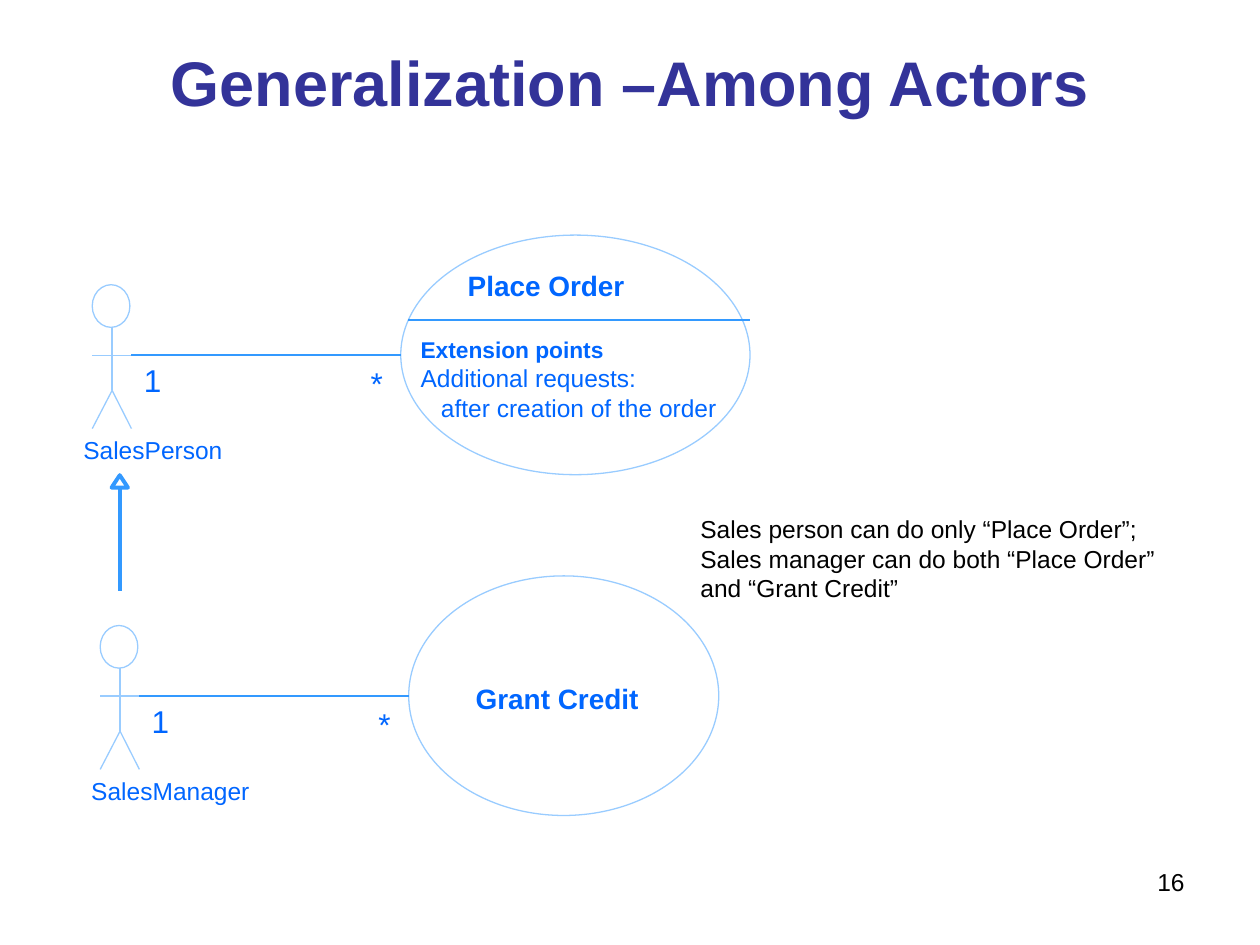
import pptx
import pptx.util
import pptx.dml.color
import pptx.enum.shapes
import pptx.enum.text
import pptx.oxml.ns
import lxml.etree

Cm = pptx.util.Cm
Pt = pptx.util.Pt
RGBColor = pptx.dml.color.RGBColor
Shapes = pptx.enum.shapes.MSO_SHAPE
Align = pptx.enum.text.PP_ALIGN

WHITE = RGBColor(0xFF, 0xFF, 0xFF)
BLACK = RGBColor(0, 0, 0)
NAVY = RGBColor(0x33, 0x33, 0x99)
BLUE = RGBColor(0x00, 0x66, 0xFF)
LINK_BLUE = RGBColor(0x33, 0x99, 0xFF)
PALE_BLUE = RGBColor(0x99, 0xCC, 0xFF)


def add_text(slide, box, lines, size, color=BLUE, bold=False, align=Align.LEFT, wrap=False):
    shape = slide.shapes.add_textbox(*(Cm(value) for value in box))
    frame = shape.text_frame
    frame.text = "\n".join(lines)
    frame.word_wrap = wrap
    if not wrap:
        frame.auto_size = pptx.enum.text.MSO_AUTO_SIZE.SHAPE_TO_FIT_TEXT
    for paragraph in frame.paragraphs:
        paragraph.alignment = align
        for run in paragraph.runs:
            run.font.name = "Arial"
            run.font.size = Pt(size)
            run.font.bold = bold
            run.font.color.rgb = color
    return frame


def add_line(slide, start, end, color=PALE_BLUE, width=0.75):
    points = (Cm(value) for value in (*start, *end))
    line = slide.shapes.add_connector(pptx.enum.shapes.MSO_CONNECTOR.STRAIGHT, *points)
    line.line.color.rgb = color
    line.line.width = Pt(width)
    lxml.etree.SubElement(line._element.spPr, pptx.oxml.ns.qn("a:effectLst"))


def add_outline(slide, kind, box, color=PALE_BLUE, width=0.75, fill=WHITE):
    shape = slide.shapes.add_shape(kind, *(Cm(value) for value in box))
    shape.shadow.inherit = False
    shape.fill.solid()
    shape.fill.fore_color.rgb = fill
    shape.line.color.rgb = color
    shape.line.width = Pt(width)


def add_actor(slide, x, y, name, name_width):
    middle, arm_width, neck, arms, hip, feet = 0.4, 0.79, 0.86, 1.42, 2.13, 2.9
    add_outline(slide, Shapes.OVAL, (x, y, 0.76, neck))
    limbs = [
        ((middle, neck), (middle, hip)),
        ((middle, hip), (0, feet)),
        ((middle, hip), (arm_width, feet)),
        ((0, arms), (arm_width, arms)),
    ]
    for start, end in limbs:
        add_line(slide, (x + start[0], y + start[1]), (x + end[0], y + end[1]))
    add_text(slide, (x - 0.43, y + feet, name_width, 0.86), [name], 14)


def add_use_case(slide, x, y, width, name, name_offset):
    add_outline(slide, Shapes.OVAL, (x + 6.22, y - 1, width, 4.83))
    add_text(slide, (x + 7.32, y + name_offset, 3.84, 0.94), [name], 16, bold=True, wrap=True)


def add_association(slide, x, y):
    add_line(slide, (x + 0.79, y + 1.42), (x + 6.22, y + 1.42), LINK_BLUE, 1)
    add_text(slide, (x + 0.79, y + 1.42, 0.86, 1.02), ["1"], 18)
    add_text(slide, (x + 5.36, y + 1.47, 0.74, 1.02), ["*"], 18)


def add_extension_points(slide):
    add_line(slide, (8.23, 6.45), (15.11, 6.45), LINK_BLUE, 1)
    lines = ["Extension points", "Additional requests:", "after creation of the order"]
    frame = add_text(slide, (8.23, 6.65, 6.48, 2.03), lines, 14)
    heading, _, detail = frame.paragraphs
    heading.runs[0].font.size = Pt(13)
    heading.runs[0].font.bold = True
    detail._p.get_or_add_pPr().set("marL", str(Cm(0.41)))


def add_generalization(slide):
    add_line(slide, (2.41, 11.91), (2.41, 9.83), LINK_BLUE, 2.25)
    add_outline(slide, Shapes.ISOSCELES_TRIANGLE, (2.25, 9.58, 0.33, 0.25), LINK_BLUE, 2.25)


def main():
    """Build the slide on generalization among actors."""
    presentation = pptx.Presentation()
    presentation.slide_width = Cm(25.4)
    presentation.slide_height = Cm(19.05)
    slide = presentation.slides.add_slide(presentation.slide_layouts[6])

    add_text(slide, (1.27, 0.76, 22.86, 3.18), ["Generalization –Among Actors"],
             36, NAVY, True, Align.CENTER, True)

    rows = [
        (1.86, 5.74, "SalesPerson", 3.45, "Place Order", 7.04, -0.45),
        (2.02, 12.61, "SalesManager", 3.85, "Grant Credit", 6.25, 1.01),
    ]
    for x, y, actor, actor_width, use_case, case_width, name_offset in rows:
        add_use_case(slide, x, y, case_width, use_case, name_offset)
        add_actor(slide, x, y, actor, actor_width)
        add_association(slide, x, y)
    add_extension_points(slide)
    add_generalization(slide)

    remarks = [
        "Sales person can do only “Place Order”;",
        "Sales manager can do both “Place Order”",
        "and “Grant Credit”",
    ]
    add_text(slide, (13.87, 10.24, 9.8, 2.03), remarks, 14, BLACK)
    add_text(slide, (18.21, 17.35, 5.92, 1.32), ["16"], 14, BLACK, align=Align.RIGHT, wrap=True)
    presentation.save("out.pptx")


if __name__ == "__main__":
    main()
